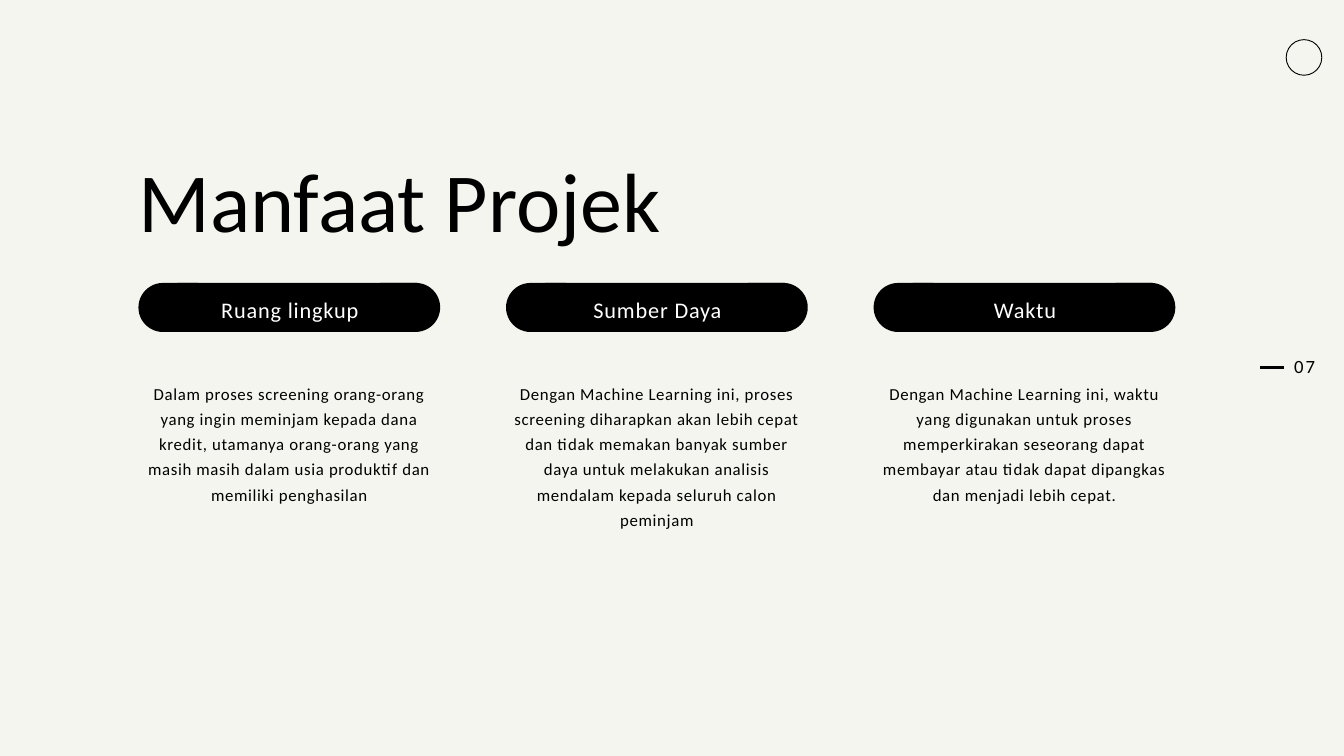
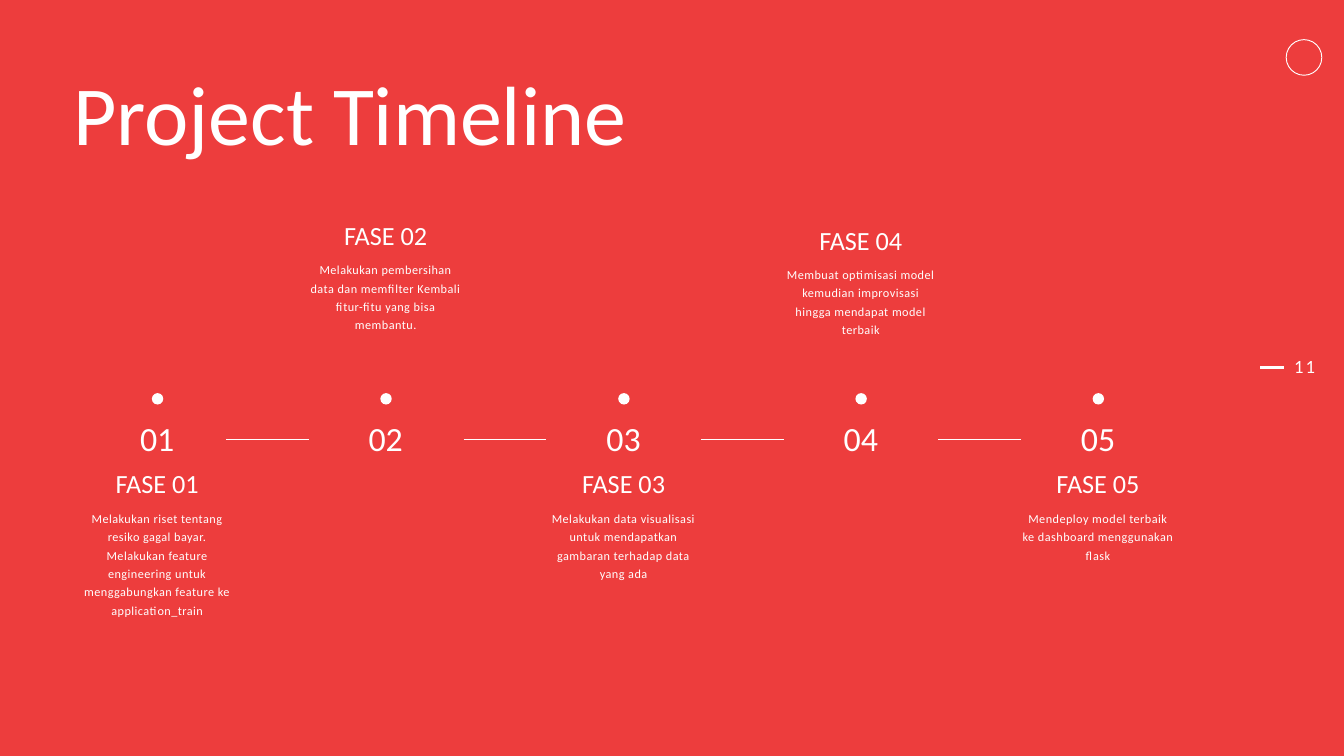
from collections import namedtuple
from dataclasses import dataclass

from lxml.etree import SubElement
from pptx import Presentation
from pptx.dml.color import RGBColor
from pptx.enum.shapes import MSO_CONNECTOR, MSO_SHAPE
from pptx.enum.text import MSO_ANCHOR, MSO_AUTO_SIZE, PP_ALIGN
from pptx.oxml.ns import qn
from pptx.util import Inches, Pt

Box = namedtuple("Box", "left top width height")
# Size, line height and letter spacing, all in points
TextStyle = namedtuple("TextStyle", "size leading tracking", defaults=[0])


@dataclass(frozen=True)
class Theme:
    font: str = "Calibri"
    paper: RGBColor = RGBColor(0xF5, 0xF5, 0xEF)
    red: RGBColor = RGBColor(0xED, 0x3D, 0x3D)
    black: RGBColor = RGBColor(0, 0, 0)
    white: RGBColor = RGBColor(0xFF, 0xFF, 0xFF)
    title: TextStyle = TextStyle(90, 99)
    page_number: TextStyle = TextStyle(20, 24, 2)
    benefit_label: TextStyle = TextStyle(23.9, 31.1, 0.9)
    benefit_text: TextStyle = TextStyle(18, 27, 0.7)
    phase_number: TextStyle = TextStyle(36.3, 39.9)
    phase_name: TextStyle = TextStyle(28.1, 30.9)
    phase_text: TextStyle = TextStyle(13.1, 19.7, 0.5)


THEME = Theme()

BENEFITS = [
    ("Ruang lingkup",
     "Dalam proses screening orang-orang yang ingin meminjam kepada dana "
     "kredit, utamanya orang-orang yang masih masih dalam usia produktif "
     "dan memiliki penghasilan"),
    ("Sumber Daya",
     "Dengan Machine Learning ini, proses screening diharapkan akan lebih "
     "cepat dan tidak memakan banyak sumber daya untuk melakukan analisis "
     "mendalam kepada seluruh calon peminjam"),
    ("Waktu",
     "Dengan Machine Learning ini, waktu yang digunakan untuk proses "
     "memperkirakan seseorang dapat membayar atau tidak dapat dipangkas "
     "dan menjadi lebih cepat."),
]

# Centre of the phase, top of its caption, description
PHASES = [
    (2.34, 7, "Melakukan riset tentang resiko gagal bayar. Melakukan feature "
              "engineering untuk menggabungkan feature ke application_train"),
    (5.74, 3.3, "Melakukan pembersihan data dan memfilter Kembali fitur-fitu "
                "yang bisa membantu."),
    (9.28, 7, "Melakukan data visualisasi untuk mendapatkan gambaran "
              "terhadap data yang ada"),
    (12.81, 3.37, "Membuat optimisasi model kemudian improvisasi hingga "
                  "mendapat model terbaik"),
    (16.34, 7, "Mendeploy model terbaik ke dashboard menggunakan flask"),
]


def inches(box):
    return [Inches(length) for length in box]


def write(shape, text, style, color, align=PP_ALIGN.CENTER):
    frame = shape.text_frame
    frame.word_wrap = True
    frame.auto_size = MSO_AUTO_SIZE.NONE
    frame.vertical_anchor = MSO_ANCHOR.TOP
    frame.margin_left = frame.margin_right = 0
    frame.margin_top = frame.margin_bottom = 0
    paragraph = frame.paragraphs[0]
    paragraph.alignment = align
    paragraph.line_spacing = Pt(style.leading)
    paragraph.space_before = Pt(0)
    run = paragraph.add_run()
    run.text = text
    run.font.name = THEME.font
    run.font.size = Pt(style.size)
    run.font.color.rgb = color
    if style.tracking:
        run._r.get_or_add_rPr().set("spc", str(round(style.tracking * 100)))


def add_text(slide, box, *args, **options):
    write(slide.shapes.add_textbox(*inches(box)), *args, **options)


def add_solid(slide, kind, box, color):
    solid = slide.shapes.add_shape(kind, *inches(box))
    solid.shadow.inherit = False
    solid.fill.solid()
    solid.fill.fore_color.rgb = color
    solid.line.fill.background()
    return solid


def add_rule(slide, left, y, length, weight, color):
    rule = slide.shapes.add_connector(
        MSO_CONNECTOR.STRAIGHT,
        *inches((left, y, left + length, y)))
    rule.line.width = Pt(weight)
    rule.line.color.rgb = color
    SubElement(rule._element.spPr, qn("a:effectLst"))


# Shared parts
def add_page_marker(slide, box, number, ink):
    add_text(slide, Box(box.left + 0.32, box.top, 0.5, box.height), number,
             THEME.page_number, ink, align=PP_ALIGN.RIGHT)
    add_rule(slide, box.left, box.top + 0.19, 0.35, 3, ink)


def add_corner_ring(slide, box, ink):
    ring = add_solid(slide, MSO_SHAPE.OVAL, box, ink)
    ring.fill.background()
    ring.line.color.rgb = ink
    ring.line.width = Pt(1)


def start_slide(deck, title, title_box, number, background, ink):
    slide = deck.slides.add_slide(deck.slide_layouts[5])
    slide.background.fill.solid()
    slide.background.fill.fore_color.rgb = background
    heading = slide.shapes.title
    heading.left, heading.top, heading.width, heading.height = inches(title_box)
    write(heading, title, THEME.title, ink, align=PP_ALIGN.LEFT)
    add_corner_ring(slide, Box(19.14, 0.59, 0.53, 0.53), ink)
    add_page_marker(slide, Box(18.75, 5.28, 0.82, 0.34), number, ink)
    return slide


# Benefits
def add_pill(slide, box, label):
    # Two rounded ends, turned to face outwards, around a straight middle
    end_length = 0.89
    inset = (end_length - box.height) / 2
    far_left = box.left + box.width - end_length
    for end_left, rotation in ((box.left, 270), (far_left, 90)):
        end = add_solid(slide, MSO_SHAPE.ROUND_2_SAME_RECTANGLE,
                        Box(end_left + inset, box.top - inset,
                            box.height, end_length), THEME.black)
        end.adjustments[0] = 0.5
        end.rotation = rotation
    add_solid(slide, MSO_SHAPE.RECTANGLE,
              Box(box.left + 0.58, box.top, 3.57, box.height), THEME.black)
    add_text(slide, Box(box.left + 0.37, box.top + 0.16, 3.77, 0.41), label,
             THEME.benefit_label, THEME.white)


def add_benefit(slide, box, label, description):
    add_pill(slide, box._replace(height=0.73), label)
    add_text(slide, Box(box.left, box.top + 1.42, box.width, box.height - 1.42),
             description, THEME.benefit_text, THEME.black)


def build_benefits(deck):
    slide = start_slide(deck, "Manfaat Projek", Box(2.06, 2.34, 9.58, 1.39),
                        "07", THEME.paper, THEME.black)
    first, pitch = Box(2.06, 4.21, 4.49, 3.66), 5.47
    for column, (label, description) in enumerate(BENEFITS):
        box = first._replace(left=first.left + column * pitch)
        add_benefit(slide, box, label, description)


# Timeline
def add_milestone(slide, box, number):
    center = box.left + box.width / 2
    add_solid(slide, MSO_SHAPE.OVAL, Box(center - 0.08, box.top, 0.17, 0.17),
              THEME.white)
    add_text(slide, Box(box.left, box.top + 0.41, box.width, 0.57),
             number, THEME.phase_number, THEME.white)


def add_caption(slide, box, name, description):
    add_text(slide, box._replace(height=0.44), name,
             THEME.phase_name, THEME.white)
    add_text(slide, Box(box.left, box.top + 0.55, box.width, box.height - 0.55),
             description, THEME.phase_text, THEME.white)


def build_timeline(deck):
    slide = start_slide(deck, "Project Timeline", Box(1.09, 1.04, 9.44, 1.41),
                        "11", THEME.red, THEME.white)
    for gap in range(len(PHASES) - 1):
        add_rule(slide, 3.37 + gap * 3.53, 6.54, 1.23, 0.75, THEME.white)
    for order, (center, caption_top, description) in enumerate(PHASES, 1):
        number = f"{order:02}"
        add_milestone(slide, Box(center - 0.35, 5.85, 0.7, 0.98), number)
        add_caption(slide, Box(center - 1.15, caption_top, 2.3, 2.2),
                    f"FASE {number}", description)


def main():
    deck = Presentation()
    deck.slide_width, deck.slide_height = Inches(20), Inches(11.25)
    build_benefits(deck)
    build_timeline(deck)
    deck.save("out.pptx")


if __name__ == "__main__":
    main()
